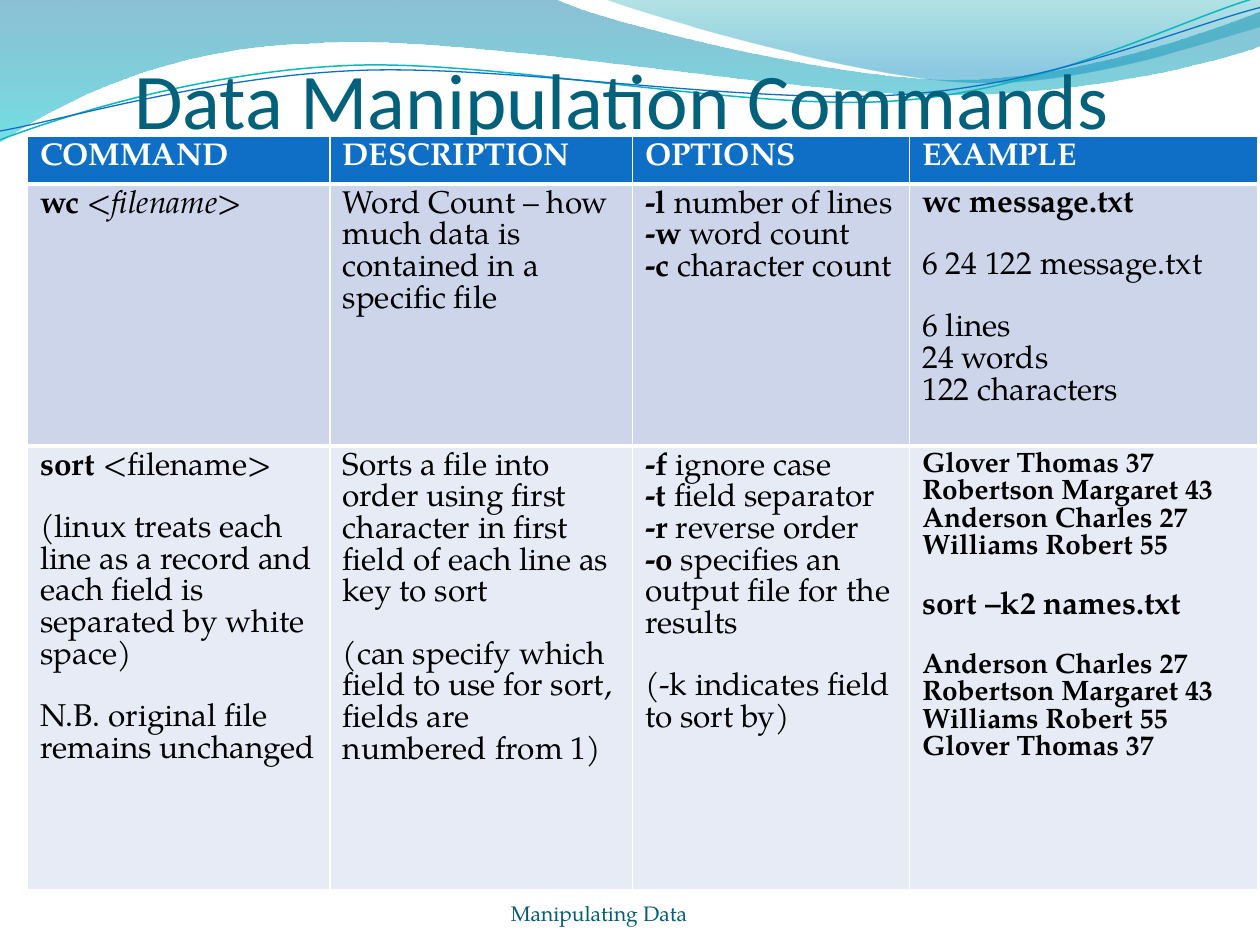
from pptx import Presentation
from pptx.dml.color import RGBColor
from pptx.enum.text import MSO_ANCHOR, PP_ALIGN
from pptx.oxml.ns import qn
from pptx.util import Inches, Pt
from lxml import etree

W, H = 10, 7.5
SERIF, SANS = "TeX Gyre Pagella", "Calibri"
COLORS = {
    "title": "04617B", "footer": "045D75", "header": "0F6FC6",
    "odd": "CCD5EA", "even": "E7EBF5", "white": "FFFFFF", "black": "000000",
    "teal": "0AB8BF", "blue": "0F6FC6",
}

# Outlines: a start point, then points (2 numbers) or Bezier curves (6 numbers)
BANDS = [
    ([(0, 0), (4.4, -0.01), (4.76, 0.17, 6.64, 0.63, 7.58, 0.63),
      (8.53, 0.63, 9.58, 0.26, 10, 0.09), (10.01, 0.36),
      (9.83, 0.44, 8.7, 0.76, 7.46, 0.75), (6.22, 0.75, 3.82, 0.28, 2.57, 0.34),
      (1.29, 0.36, 0.46, 0.83, -0.01, 1.13)],
     [(0, "0074A1", 45), (1, "00C6CF", 55)]),
    ([(4.79, -0.01), (5.09, 0.11, 6.82, 0.62, 7.69, 0.65),
      (8.56, 0.69, 9.61, 0.32, 10, 0.21), (10, 0)],
     [(0, "00A1A9", 30), (0.8, "008BBF", 45)]),
]
STRANDS = [
    ([(0, 1.11), (0.48, 0.93, 1.58, 0.57, 2.77, 0.52),
      (3.95, 0.47, 5.93, 0.89, 7.13, 0.8), (8.33, 0.71, 9.38, 0.15, 9.98, -0.02)],
     "teal", 0.85),
    ([(0, 1.04), (0.47, 0.96, 1.64, 0.61, 2.83, 0.56),
      (4.03, 0.51, 5.97, 0.84, 7.17, 0.75), (8.36, 0.67, 9.41, 0.21, 10, 0.06)],
     "blue", 0.75),
]

# Cell text: *bold*, _italic_, ~ starts a block of smaller text,
# an empty line parts two blocks
COLS, ROWS = [2.4, 2.4, 2.2, 2.76], [0.38, 2.08, 3.52]
CELLS = [
    ["*COMMAND*", "*DESCRIPTION*", "*OPTIONS*", "*EXAMPLE*"],
    ["*wc* <_filename_>",
     "Word Count – how much data is contained in a specific file",
     "*-l *number of lines\n*-w *word count\n*-c *character count",
     "*wc message.txt*\n\n6 24 122 message.txt\n\n6 lines\n24 words\n122 characters"],
    ["*sort* <filename>\n\n(linux treats each line as a record and each field is "
     "separated by white space)\n\nN.B. original file remains unchanged",
     "Sorts a file into order using first character in first field of each line "
     "as key to sort\n\n(can specify which field to use for sort, fields are "
     "numbered from 1)",
     "*-f *ignore case\n*-t *field separator\n*-r *reverse order\n"
     "*-o *specifies an output file for the results\n\n"
     "(-k indicates field to sort by)",
     "~*Glover Thomas 37*\n*Robertson Margaret 43*\n*Anderson Charles 27*\n"
     "*Williams Robert 55*\n\n*sort –k2 names.txt*\n\n"
     "~*Anderson Charles 27*\n*Robertson Margaret 43*\n*Williams Robert 55*\n"
     "*Glover Thomas 37*"],
]


def rgb(name):
    return RGBColor.from_string(COLORS.get(name, name))


def set_attrs(obj, formats):
    for name, value in formats.items():
        setattr(obj, name, value)


def add_run(p, text, color, size, font=SERIF, **formats):
    r = p.add_run()
    r.text = text
    set_attrs(r.font, {"name": font, "size": Pt(size), **formats})
    r.font.color.rgb = rgb(color)


def add_outline(s, outline, close):
    """Draw straight segments first, then join them in threes into curves."""
    units = 1000
    pts = [(step[i] * units, step[i + 1] * units)
           for step in outline for i in range(0, len(step), 2)]
    builder = s.shapes.build_freeform(*pts[0], scale=Inches(1) / units)
    builder.add_line_segments(pts[1:], close=close)
    sp = builder.convert_to_shape()
    sp.shadow.inherit = False
    segments = sp._element.spPr.iter(qn("a:lnTo"))
    segments = iter(list(segments))
    for step in outline[1:]:
        first = next(segments)
        if len(step) == 6:
            first.tag = qn("a:cubicBezTo")
            for _ in range(2):
                extra = next(segments)
                first.append(extra[0])
                extra.getparent().remove(extra)
    return sp


def add_band(s, outline, stops):
    sp = add_outline(s, outline, True)
    sp.line.fill.background()
    sp.fill.gradient()
    sp.fill.gradient_angle = 270
    for stop, (position, color, opacity) in zip(sp.fill.gradient_stops, stops):
        stop.position = position
        stop.color.rgb = rgb(color)
        for clr in sp._element.spPr.iter(qn("a:srgbClr")):
            if clr.get("val") == color:
                etree.SubElement(clr, qn("a:alpha"), val=str(opacity * 1000))


def add_strand(s, outline, color, width):
    sp = add_outline(s, outline, False)
    sp.fill.background()
    sp.line.color.rgb = rgb(color)
    sp.line.width = Pt(width)


def place_text(sp, box, text, color, size, font, insets):
    x, y, w, h = map(Inches, box)
    set_attrs(sp, {"left": x, "top": y, "width": w, "height": h})
    tf = sp.text_frame
    set_attrs(tf, {"word_wrap": True, "vertical_anchor": MSO_ANCHOR.BOTTOM})
    sides = ("margin_left", "margin_top", "margin_right", "margin_bottom")
    set_attrs(tf, dict(zip(sides, map(Inches, insets))))
    p = tf.paragraphs[0]
    p.alignment = PP_ALIGN.CENTER
    add_run(p, text, color, size, font)


def add_border(cell, side, width):
    """Border elements come before the cell's fill."""
    ln = etree.Element(qn("a:" + side), w=str(Pt(width)))
    fill = etree.SubElement(ln, qn("a:solidFill"))
    etree.SubElement(fill, qn("a:srgbClr"), val=COLORS["white"])
    cell._tc.get_or_add_tcPr().insert(0, ln)


def fill_cell(cell, text, fill, color):
    cell.fill.solid()
    cell.fill.fore_color.rgb = rgb(fill)
    tf = cell.text_frame
    p = tf.paragraphs[0]
    for b, block in enumerate(text.split("\n\n")):
        size = 16 if block.startswith("~") else 18
        for n, line in enumerate(block.lstrip("~").split("\n")):
            if b or n:
                p = tf.add_paragraph()
            if b and not n:
                p.space_before = Pt(17.5)
            for i, part in enumerate(line.split("*")):
                for j, piece in enumerate(part.split("_")):
                    if piece:
                        add_run(p, piece, color, size,
                                bold=i % 2 == 1, italic=j % 2 == 1)


def add_command_table(s, left, top):
    frame = s.shapes.add_table(len(ROWS), len(COLS), Inches(left), Inches(top),
                               Inches(sum(COLS)), Inches(sum(ROWS)))
    table = frame.table
    table.horz_banding = False
    for col, width in zip(table.columns, COLS):
        col.width = Inches(width)
    for row, height, texts, fill in zip(table.rows, ROWS, CELLS,
                                        ("header", "odd", "even")):
        row.height = Inches(height)
        for cell, text in zip(row.cells, texts):
            fill_cell(cell, text, fill, "white" if fill == "header" else "black")
    for header, below in zip(table.rows[0].cells, table.rows[1].cells):
        add_border(header, "lnB", 3)
        add_border(below, "lnT", 3)


def main():
    prs = Presentation()
    prs.slide_width, prs.slide_height = Inches(W), Inches(H)
    s = prs.slides.add_slide(prs.slide_layouts[5])

    # Waves along the top
    for band in BANDS:
        add_band(s, *band)
    for strand in STRANDS:
        add_strand(s, *strand)

    # Title, in front of the waves and behind the table
    title = s.shapes.title
    s.shapes._spTree.append(title._element)
    place_text(title, (0.43, 0.36, 0.9 * W, 0.79), "Data Manipulation Commands",
               "title", 45, SANS, (0, 0.05, 0, 0))

    # Table and footer
    add_command_table(s, 0.22, 1.08)
    footer = s.shapes.add_textbox(0, 0, 0, 0)
    place_text(footer, (2.92, 6.95, 3.67, 0.4), "Manipulating Data",
               "footer", 12, SERIF, (0, 0, 0, 0))
    prs.save("out.pptx")


if __name__ == "__main__":
    main()
